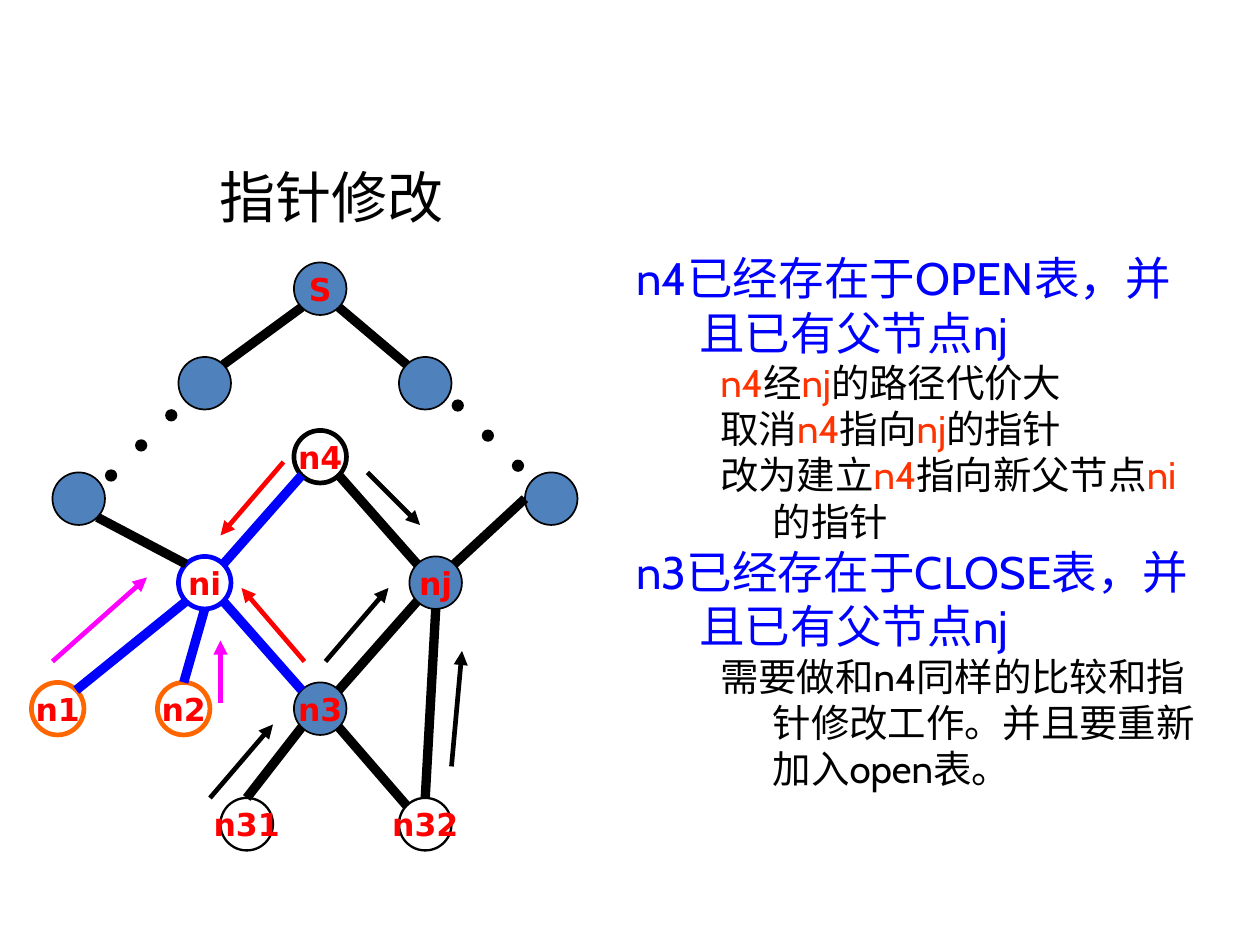
import math

import lxml.etree
import pptx
import pptx.dml.color
import pptx.enum.shapes
import pptx.enum.text
import pptx.oxml.ns
import pptx.util

Pt = pptx.util.Pt
qn = pptx.oxml.ns.qn
ANCHOR = pptx.enum.text.MSO_ANCHOR
ALIGN = pptx.enum.text.PP_ALIGN

COLORS = {
    "black": "000000", "node": "4F81BD", "blue": "0000FF", "red": "FF0000",
    "orange": "FF6600", "accent": "FF3300", "magenta": "FF00FF",
}
NODE_SIZE = 22.5
DOT_SIZE = 4.5
DOT_STEP = 12.9

# name: (left, top, label, fill, line colour, line width)
NODES = {
    "S": (126, 112.5, "S", "node", "black", 0.75),
    "upper left": (76.5, 153, "", "node", "black", 0.75),
    "upper right": (171, 153, "", "node", "black", 0.75),
    "outer left": (22.5, 202.5, "", "node", "black", 0.75),
    "outer right": (225, 202.5, "", "node", "black", 0.75),
    "n4": (126, 184.5, "n4", None, "black", 2),
    "ni": (76.5, 238.5, "ni", None, "blue", 2),
    "nj": (175.5, 238.5, "nj", "node", "black", 0.75),
    "n1": (13.5, 292.5, "n1", None, "orange", 2),
    "n2": (67.5, 292.5, "n2", None, "orange", 2),
    "n3": (126, 292.5, "n3", "node", "black", 0.75),
    "n31": (94.5, 342, "n31", None, "black", 1),
    "n32": (171, 342, "n32", None, "black", 1),
}
EDGES = [
    ("S", "sw", "upper left", "ne", "black"),
    ("S", "se", "upper right", "nw", "black"),
    ("outer left", "se", "ni", "nw", "black"),
    ("n4", "sw", "ni", "ne", "blue"),
    ("n4", "se", "nj", "nw", "black"),
    ("outer right", "w", "nj", "ne", "black"),
    ("n1", "ne", "ni", "sw", "blue"),
    ("n2", "n", "ni", "s", "blue"),
    ("n3", "nw", "ni", "se", "blue"),
    ("n3", "ne", "nj", "sw", "black"),
    ("n31", "n", "n3", "sw", "black"),
    ("n32", "nw", "n3", "se", "black"),
    ("n32", "n", "nj", "s", "black"),
]
ARROWS = [
    ((22.5, 283.5), (63, 247.5), "magenta"),
    ((94.5, 301.5), (94.5, 274.5), "magenta"),
    ((157.5, 202.5), (180, 225), "black"),
    ((121.5, 198), (94.5, 229.5), "red"),
    ((139.5, 283.5), (166.5, 252), "black"),
    ((90, 342), (117, 310.5), "black"),
    ((193.5, 328.5), (198, 279), "black"),
    ((130.5, 283.5), (103.5, 252), "red"),
]
# centre of the lowest dot, horizontal direction going up
DOT_TRAILS = [((47.6, 203.8), 1), ((222, 199.6), -1)]

# (level, text); *...* marks accented words
BODY = [
    (0, "n4已经存在于OPEN表，并且已有父节点nj"),
    (1, "*n4*经*nj*的路径代价大"),
    (1, "取消*n4*指向*nj*的指针"),
    (1, "改为建立*n4*指向新父节点*ni*的指针"),
    (0, "n3已经存在于CLOSE表，并且已有父节点nj"),
    (1, "需要做和n4同样的比较和指针修改工作。并且要重新加入open表。"),
]
# size, colour, left margin, first-line indent
TITLE_STYLE = (24, "black", 90, -18)
BODY_STYLES = [(19.5, "blue", 27, -27), (16.5, "black", 58.5, -22.5)]


def rgb(name):
    return pptx.dml.color.RGBColor.from_string(COLORS[name])


def rim_point(node, side):
    """Point on a node's circle in a compass direction."""
    left, top = NODES[node][:2]
    r = NODE_SIZE / 2
    angle = math.radians(["e", "se", "s", "sw", "w", "nw", "n", "ne"].index(side) * 45)
    return left + r + r * math.cos(angle), top + r + r * math.sin(angle)


class Deck:
    text_font = "Cabin"
    label_font = {"name": "DejaVu Sans", "size": Pt(13.5), "bold": True}

    def __init__(self, width, height):
        self.prs = pptx.Presentation()
        self.prs.slide_width, self.prs.slide_height = Pt(width), Pt(height)
        self.s = self.prs.slides.add_slide(self.prs.slide_layouts[1])

    def set_font(self, font, color, **values):
        for key, value in values.items():
            setattr(font, key, value)
        font.color.rgb = rgb(color)

    def circle(self, left, top, size, fill, line, width, label=""):
        sp = self.s.shapes.add_shape(pptx.enum.shapes.MSO_SHAPE.OVAL,
                                     Pt(left), Pt(top), Pt(size), Pt(size))
        sp.shadow.inherit = False
        if fill:
            sp.fill.solid()
            sp.fill.fore_color.rgb = rgb(fill)
        else:
            sp.fill.background()
        sp.line.color.rgb = rgb(line)
        sp.line.width = Pt(width)
        if label:
            tf = sp.text_frame
            for key, value in {"word_wrap": False, "vertical_anchor": ANCHOR.MIDDLE,
                               "margin_left": 0, "margin_right": 0,
                               "margin_top": 0, "margin_bottom": 0}.items():
                setattr(tf, key, value)
            p = tf.paragraphs[0]
            p.alignment = ALIGN.CENTER
            r = p.add_run()
            r.text = label
            self.set_font(r.font, "red", **self.label_font)

    def line(self, start, end, color, width, arrow=False):
        c = self.s.shapes.add_connector(pptx.enum.shapes.MSO_CONNECTOR.STRAIGHT,
                                        *map(Pt, start + end))
        c.line.color.rgb = rgb(color)
        c.line.width = Pt(width)
        if arrow:
            lxml.etree.SubElement(c.line._get_or_add_ln(), qn("a:tailEnd"), type="triangle")
        lxml.etree.SubElement(c._element.spPr, qn("a:effectLst"))

    def placeholder(self, sp, box, paragraphs):
        """Place a placeholder and fill it with (style, level, text) paragraphs."""
        sp.left, sp.top, sp.width, sp.height = map(Pt, box)
        tf = sp.text_frame
        for key, value in {"word_wrap": True, "vertical_anchor": ANCHOR.TOP,
                           "auto_size": pptx.enum.text.MSO_AUTO_SIZE.NONE}.items():
            setattr(tf, key, value)
        for i, (style, level, text) in enumerate(paragraphs):
            size, color, margin, indent = style
            p = tf.add_paragraph() if i else tf.paragraphs[0]
            pPr = p._p.get_or_add_pPr()
            pPr.set("marL", str(Pt(margin)))
            pPr.set("indent", str(Pt(indent)))
            lxml.etree.SubElement(pPr, qn("a:buNone"))
            for key, value in {"level": level, "alignment": ALIGN.LEFT,
                               "space_before": Pt(0)}.items():
                setattr(p, key, value)
            for j, part in enumerate(text.split("*")):
                if part:
                    r = p.add_run()
                    r.text = part
                    self.set_font(r.font, "accent" if j % 2 else color,
                                  name=self.text_font, size=Pt(size))


def main():
    deck = Deck(540, 405)
    title, body = deck.s.placeholders
    deck.placeholder(title, (15, 66, 184, 36), [(TITLE_STYLE, 0, "指针修改")])
    deck.placeholder(body, (265.5, 103.5, 261, 252),
                     [(BODY_STYLES[level], level, text) for level, text in BODY])
    for left, top, label, fill, line, width in NODES.values():
        deck.circle(left, top, NODE_SIZE, fill, line, width, label)
    for (x, y), direction in DOT_TRAILS:
        for i in range(3):
            deck.circle(x + direction * i * DOT_STEP - DOT_SIZE / 2,
                        y - i * DOT_STEP - DOT_SIZE / 2, DOT_SIZE, "black", "black", 0.75)
    for a, a_side, b, b_side, color in EDGES:
        deck.line(rim_point(a, a_side), rim_point(b, b_side), color, 4)
    for start, end, color in ARROWS:
        deck.line(start, end, color, 2, arrow=True)
    deck.prs.save("out.pptx")


if __name__ == "__main__":
    main()
